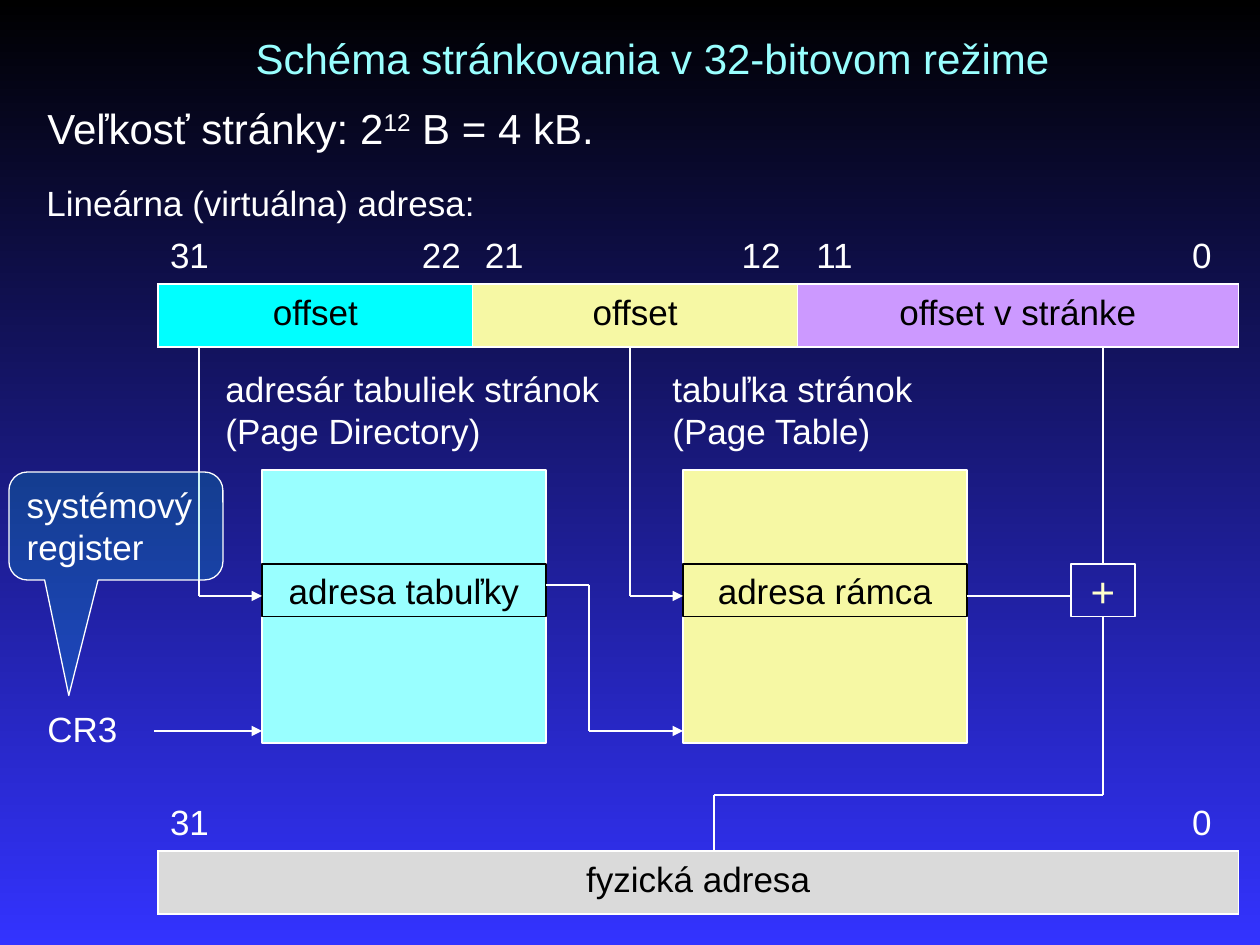
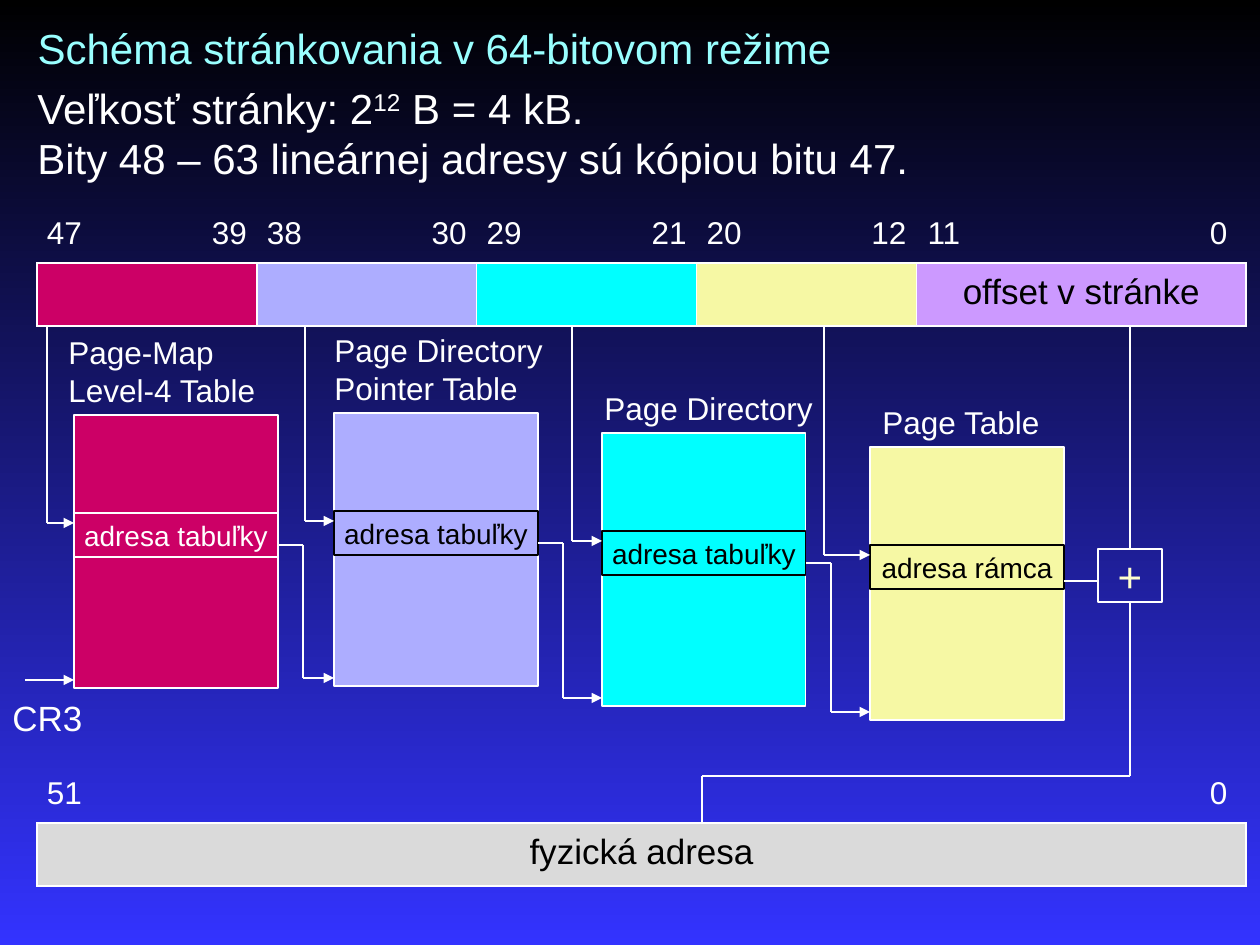
from dataclasses import dataclass

from lxml.etree import SubElement
from pptx import Presentation
from pptx.dml.color import RGBColor
from pptx.enum.shapes import MSO_CONNECTOR, MSO_SHAPE
from pptx.enum.text import MSO_ANCHOR, MSO_AUTO_SIZE, PP_ALIGN
from pptx.oxml.ns import qn
from pptx.util import Pt

PX = 7257
PLAIN_TABLE = "{2D5ABB26-0587-4C30-8999-92F81FD0307C}"
BITS_HEIGHT = 53
FIELD_HEIGHT = 63
BAR_HEIGHT = BITS_HEIGHT + FIELD_HEIGHT
TABLE_HEIGHT = 273
ADDER_WIDTH = 64
ADDER_HEIGHT = 53
LABEL_HEIGHT = 97
TEXT_WIDTH = 1071


@dataclass(frozen=True)
class Theme:
    font: str = "Arial"
    heading: int = 24
    body: int = 20
    label: int = 18
    entry: int = 16
    white: str = "FFFFFF"
    black: str = "000000"
    blue: str = "3333FF"
    title: str = "99FFFF"
    cream: str = "FFFFCC"
    cyan: str = "00FFFF"
    pale_cyan: str = "99FFFF"
    yellow: str = "F6F8A4"
    violet: str = "CC99FF"
    lavender: str = "ADADFF"
    magenta: str = "CC0066"
    gray: str = "DADADA"
    teal: str = "00CCCC"


theme = Theme()


def write(frame, text, size, color=theme.white, align=PP_ALIGN.LEFT,
          anchor=MSO_ANCHOR.TOP, wrap=True):
    frame.word_wrap = wrap
    frame.vertical_anchor = anchor
    for index, line in enumerate(text.split("\n")):
        para = frame.add_paragraph() if index else frame.paragraphs[0]
        para.alignment = align
        para.space_before = Pt(0)
        for part, piece in enumerate(line.split("^")):
            run = para.add_run()
            run.text = piece
            run.font.name = theme.font
            run.font.size = Pt(size)
            run.font.color.rgb = RGBColor.from_string(color)
            if part % 2:
                run.font._element.set("baseline", "30000")


def trace(page, points, arrow=False, source=None, target=None):
    segments = list(zip(points, points[1:]))
    for index, (start, end) in enumerate(segments):
        line = page.shapes.add_connector(
            MSO_CONNECTOR.STRAIGHT, *(value * PX for value in start + end))
        line.line.color.rgb = RGBColor.from_string(theme.white)
        line.line.width = Pt(0.75)
        last = index == len(segments) - 1
        if source and index == 0:
            line.begin_connect(source, 2)
        if target and last:
            line.end_connect(target, 0)
        if arrow and last:
            SubElement(line.line._get_or_add_ln(), qn("a:tailEnd"),
                       type="triangle", w="med", len="med")
        SubElement(line._element.spPr, qn("a:effectLst"))


page_size = "Veľkosť stránky: 2^12^ B = 4 kB."
diagrams = [
    {
        "title": "Schéma stránkovania v 32-bitovom režime",
        "title_at": (164, 26),
        "title_align": PP_ALIGN.CENTER,
        "left": 158,
        "columns": [63] * 9 + [73, 74] * 3 + [73],
        "text_size": theme.body,
        "bar_tops": (231, 798),
        "fields": [
            (5, "31", "22", "offset", theme.cyan),
            (5, "21", "12", "offset", theme.yellow),
            (6, "11", "0", "offset v stránke", theme.violet),
        ],
        "physical_bits": ("31", "0"),
        "tables": [
            (262, 470, 284, theme.pale_cyan, "adresa tabuľky", theme.black, 199,
             "adresár tabuliek stránok (Page Directory)", 213, 410),
            (683, 470, 284, theme.yellow, "adresa rámca", theme.black, 630,
             "tabuľka stránok (Page Table)", 660, 328),
        ],
        "label_gap": 12,
        "entry_size": theme.body,
        "entry_offset": 94,
        "entry_height": 53,
        "arrow_drop": 32,
        "link_drop": 21,
        "link_reach": 43,
        "pointer_rise": 12,
        "pointer_start": 154,
        "register_at": (35, 701),
        "adder_at": (1071, 564),
        "result_bend": (714, 795),
        "notes": [(page_size, 35, 96, theme.heading),
                  ("Lineárna (virtuálna) adresa:", 34, 175, theme.body)],
        "callout": "systémový register",
    },
    {
        "title": "Schéma stránkovania v 64-bitovom režime",
        "title_at": (25, 16),
        "title_align": PP_ALIGN.LEFT,
        "left": 37,
        "columns": [55] * 22,
        "text_size": theme.label,
        "bar_tops": (210, 770),
        "fields": [
            (4, "47", "39", "", theme.magenta),
            (4, "38", "30", "", theme.lavender),
            (4, "29", "21", "", theme.cyan),
            (4, "20", "12", "", theme.yellow),
            (6, "11", "0", "offset v stránke", theme.violet),
        ],
        "physical_bits": ("51", "0"),
        "tables": [
            (74, 415, 204, theme.magenta, "adresa tabuľky", theme.white, 47,
             "Page-Map Level-4 Table", 56, 262),
            (334, 413, 204, theme.lavender, "adresa tabuľky", theme.black, 305,
             "Page Directory Pointer Table", 322, 262),
            (602, 433, 204, theme.cyan, "adresa tabuľky", theme.black, 572,
             "Page Directory", 592, 262),
            (870, 447, 194, theme.yellow, "adresa rámca", theme.black, 824,
             "Page Table", 870, 198),
        ],
        "label_gap": 0,
        "entry_size": theme.entry,
        "entry_offset": 98,
        "entry_height": 44,
        "arrow_drop": 10,
        "link_drop": 32,
        "link_reach": 25,
        "pointer_rise": 8,
        "pointer_start": 25,
        "register_at": (0, 690),
        "adder_at": (1098, 549),
        "result_bend": (702, 776),
        "notes": [(page_size + "\nBity 48 – 63 lineárnej adresy sú kópiou bitu 47.",
                   25, 76, theme.heading)],
        "callout": "",
    },
]

deck = Presentation()
deck.slide_width = 1260 * PX
deck.slide_height = 945 * PX
backdrop = deck.slide_master.background.fill
backdrop.gradient()
backdrop.gradient_angle = 270
for stop, color in zip(backdrop.gradient_stops, (theme.black, theme.blue)):
    stop.color.rgb = RGBColor.from_string(color)

for diagram in diagrams:
    page = deck.slides.add_slide(deck.slide_layouts[5])
    title = page.shapes.title
    title.left, title.top = (value * PX for value in diagram["title_at"])
    title.width, title.height = 977 * PX, FIELD_HEIGHT * PX
    title.text_frame.auto_size = MSO_AUTO_SIZE.NONE
    write(title.text_frame, diagram["title"], theme.heading, theme.title, diagram["title_align"])

    columns = diagram["columns"]
    linear_top, physical_top = diagram["bar_tops"]
    physical_field = (len(columns), *diagram["physical_bits"], "fyzická adresa", theme.gray)
    for top, fields in ((linear_top, diagram["fields"]), (physical_top, [physical_field])):
        holder = page.shapes.add_table(
            2, len(columns), diagram["left"] * PX, top * PX, sum(columns) * PX, BAR_HEIGHT * PX)
        table = holder.table
        table.first_row = table.horz_banding = False
        table._tbl.tblPr[0].text = PLAIN_TABLE
        for column, width in zip(table.columns, columns):
            column.width = width * PX
        for row, height, margins, sides in zip(
                table.rows, (BITS_HEIGHT, FIELD_HEIGHT), ((6, 0), (10, 6)),
                (("lnB",), ("lnL", "lnR", "lnT", "lnB"))):
            row.height = height * PX
            for cell in row.cells:
                cell.margin_left = cell.margin_right = 5 * PX
                cell.margin_top, cell.margin_bottom = (margin * PX for margin in margins)
                properties = cell._tc.get_or_add_tcPr()
                for side in sides:
                    border = SubElement(properties, qn(f"a:{side}"), w="12700")
                    paint = SubElement(border, qn("a:solidFill"))
                    SubElement(paint, qn("a:srgbClr"), val=theme.white)
                cell.fill.background()
        first = 0
        for span, high_bit, low_bit, name, color in fields:
            last = first + span - 1
            for position, bit in ((first, high_bit), (last, low_bit)):
                write(table.cell(0, position).text_frame, bit, diagram["text_size"],
                      align=PP_ALIGN.CENTER)
            field = table.cell(1, first)
            field.merge(table.cell(1, last))
            field.fill.solid()
            field.fill.fore_color.rgb = RGBColor.from_string(color)
            if name:
                write(field.text_frame, name, theme.body, theme.black, PP_ALIGN.CENTER)
            first += span

    boxes = []
    for left, top, width, fill, entry, color, *_ in diagram["tables"]:
        entry_top = top + diagram["entry_offset"]
        boxes.append(("", (left, top, width, TABLE_HEIGHT), fill, theme.white, color, 0))
        boxes.append((entry, (left, entry_top, width, diagram["entry_height"]), fill,
                      color, color, diagram["entry_size"]))
    adder_left, adder_top = diagram["adder_at"]
    boxes.append(("+", (adder_left, adder_top, ADDER_WIDTH, ADDER_HEIGHT), None,
                  theme.white, theme.cream, theme.heading))
    for text, area, fill, outline, color, size in boxes:
        box = page.shapes.add_shape(MSO_SHAPE.RECTANGLE, *(value * PX for value in area))
        box.shadow.inherit = False
        box.line.color.rgb = RGBColor.from_string(outline)
        box.line.width = Pt(0.75)
        if fill:
            box.fill.solid()
            box.fill.fore_color.rgb = RGBColor.from_string(fill)
        else:
            box.fill.background()
        if text:
            frame = box.text_frame
            frame.margin_left = frame.margin_right = 0
            frame.margin_top = frame.margin_bottom = 5 * PX
            write(frame, text, size, color, PP_ALIGN.CENTER, MSO_ANCHOR.MIDDLE, False)
    adder = box

    bar_bottom = linear_top + BAR_HEIGHT
    link = [(diagram["pointer_start"], None)]
    for left, top, width, _, _, _, index_x, label, label_left, label_width in diagram["tables"]:
        entry_top = top + diagram["entry_offset"]
        index_y = entry_top + diagram["arrow_drop"]
        trace(page, [(index_x, bar_bottom), (index_x, index_y), (left, index_y)], arrow=True)

        pointer_y = top + TABLE_HEIGHT - diagram["pointer_rise"]
        trace(page, link[:-1] + [(link[-1][0], pointer_y), (left, pointer_y)], arrow=True)
        right = left + width
        link_y = entry_top + diagram["link_drop"]
        bend = right + diagram["link_reach"]
        link = [(right, link_y), (bend, link_y), (bend, None)]

        label_top = top - diagram["label_gap"] - LABEL_HEIGHT
        caption = page.shapes.add_textbox(
            *(value * PX for value in (label_left, label_top, label_width, LABEL_HEIGHT)))
        write(caption.text_frame, label, diagram["text_size"], anchor=MSO_ANCHOR.BOTTOM)

    center = adder_left + ADDER_WIDTH // 2
    frame_y = adder_top + 32
    bend_x, bend_y = diagram["result_bend"]
    trace(page, [(right, frame_y), (adder_left, frame_y)])
    trace(page, [(center, bar_bottom), (center, adder_top)], target=adder)
    trace(page, [(center, adder_top + ADDER_HEIGHT), (center, bend_y), (bend_x, bend_y),
                 (bend_x, physical_top + BITS_HEIGHT)], source=adder)

    notes = [(*note, TEXT_WIDTH) for note in diagram["notes"]]
    notes.append(("CR3", *diagram["register_at"], theme.body, 116))
    for text, left, top, size, width in notes:
        height = len(text.split("\n")) * size * 2 + 14
        note = page.shapes.add_textbox(*(value * PX for value in (left, top, width, height)))
        write(note.text_frame, text, size)

    if diagram["callout"]:
        callout = page.shapes.add_shape(
            MSO_SHAPE.ROUNDED_RECTANGULAR_CALLOUT,
            *(value * PX for value in (9, 472, 214, 108)))
        for index, value in enumerate((-0.22, 1.57, 0.17)):
            callout.adjustments[index] = value
        callout.shadow.inherit = False
        callout.fill.solid()
        callout.fill.fore_color.rgb = RGBColor.from_string(theme.teal)
        tint = callout._element.spPr.find(qn("a:solidFill"))[0]
        SubElement(tint, qn("a:alpha"), val="20000")
        callout.line.color.rgb = RGBColor.from_string(theme.white)
        callout.line.width = Pt(0.75)
        write(callout.text_frame, diagram["callout"], theme.body)

deck.save("out.pptx")
